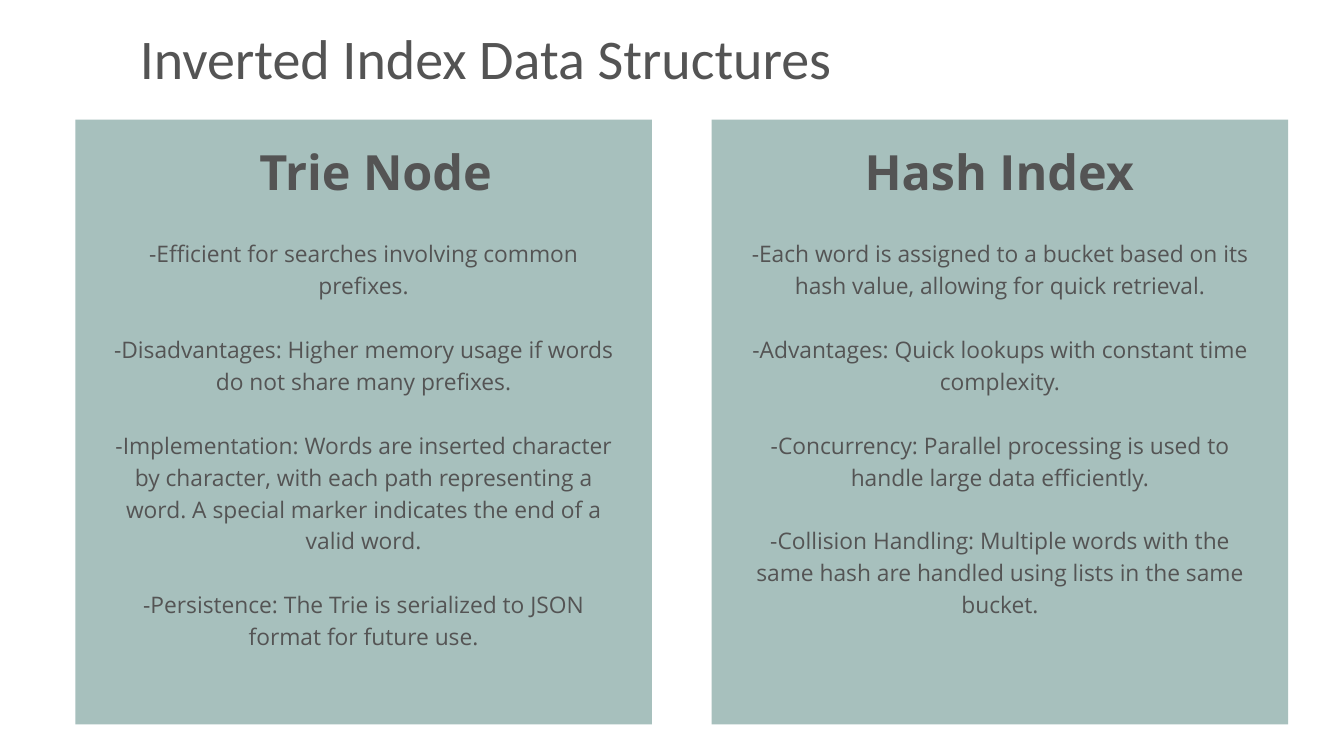
"""Build a slide comparing two inverted index data structures."""
from pptx import Presentation
from pptx.dml.color import RGBColor
from pptx.enum.shapes import MSO_SHAPE
from pptx.enum.text import PP_ALIGN
from pptx.util import Inches, Pt

TITLE = "Inverted Index Data Structures"
PANELS = [
    {
        "heading": "Trie Node",
        "heading_span": (10.4, 35.1),
        "points": [
            "-Efficient for searches involving common prefixes.",
            "-Disadvantages: Higher memory usage if words do not share many prefixes.",
            "-Implementation: Words are inserted character by character, with each path "
            "representing a word. A special marker indicates the end of a valid word.",
            "-Persistence: The Trie is serialized to JSON format for future use.",
        ],
    },
    {
        "heading": "Hash Index",
        "heading_span": (64.3, 20.1),
        "points": [
            "-Each word is assigned to a bucket based on its hash value, allowing for quick retrieval.",
            "-Advantages: Quick lookups with constant time complexity.",
            "-Concurrency: Parallel processing is used to handle large data efficiently.",
            "-Collision Handling: Multiple words with the same hash are handled using lists "
            "in the same bucket.",
        ],
    },
]
COLORS = {"panel": "A7C0BD", "text": "545454"}
WIDTH, HEIGHT = 20, 11.25
PANEL_LEFT, PANEL_WIDTH, PANEL_STEP = 5.6, 42.9, 47.35
BODY_INSET = 2.3
BODY_LINE = 34.2


def place(left, top, width, height):
    return (Inches(WIDTH * left / 100), Inches(HEIGHT * top / 100),
            Inches(WIDTH * width / 100), Inches(HEIGHT * height / 100))


def add_text(page, lines, area, *, size, line, font="Open Sans", bold=False,
             align=PP_ALIGN.CENTER, gap=0):
    box = page.shapes.add_textbox(*place(*area))
    frame = box.text_frame
    frame.word_wrap = True
    frame.margin_left = frame.margin_right = frame.margin_top = frame.margin_bottom = 0
    for index, text in enumerate(lines):
        para = frame.add_paragraph() if index else frame.paragraphs[0]
        para.alignment = align
        para.line_spacing = Pt(line)
        para.space_before = Pt(gap if index else 0)
        span = para.add_run()
        span.text = text
        span.font.name = font
        span.font.size = Pt(size)
        span.font.bold = bold
        span.font.color.rgb = RGBColor.from_string(COLORS["text"])


def add_panel(page, left, panel):
    box = page.shapes.add_shape(MSO_SHAPE.RECTANGLE, *place(left, 15.82, PANEL_WIDTH, 80))
    box.shadow.inherit = False
    box.fill.solid()
    box.fill.fore_color.rgb = RGBColor.from_string(COLORS["panel"])
    box.line.fill.background()
    heading_left, heading_width = panel["heading_span"]
    add_text(page, [panel["heading"]], (heading_left, 17.51, heading_width, 8.62),
             size=52, line=72.8, bold=True)
    body = (left + BODY_INSET, 31.11, PANEL_WIDTH - 2 * BODY_INSET, 55.11)
    add_text(page, panel["points"], body, size=24.4, line=BODY_LINE, gap=BODY_LINE)


def main():
    deck = Presentation()
    deck.slide_width, deck.slide_height = Inches(WIDTH), Inches(HEIGHT)
    page = deck.slides.add_slide(deck.slide_layouts[6])
    add_text(page, [TITLE], (10.4, 4.71, 79.25, 8.36), size=60, line=59.4,
             font="Calibri", align=PP_ALIGN.LEFT)
    for column, panel in enumerate(PANELS):
        add_panel(page, PANEL_LEFT + column * PANEL_STEP, panel)
    deck.save("out.pptx")


if __name__ == "__main__":
    main()
